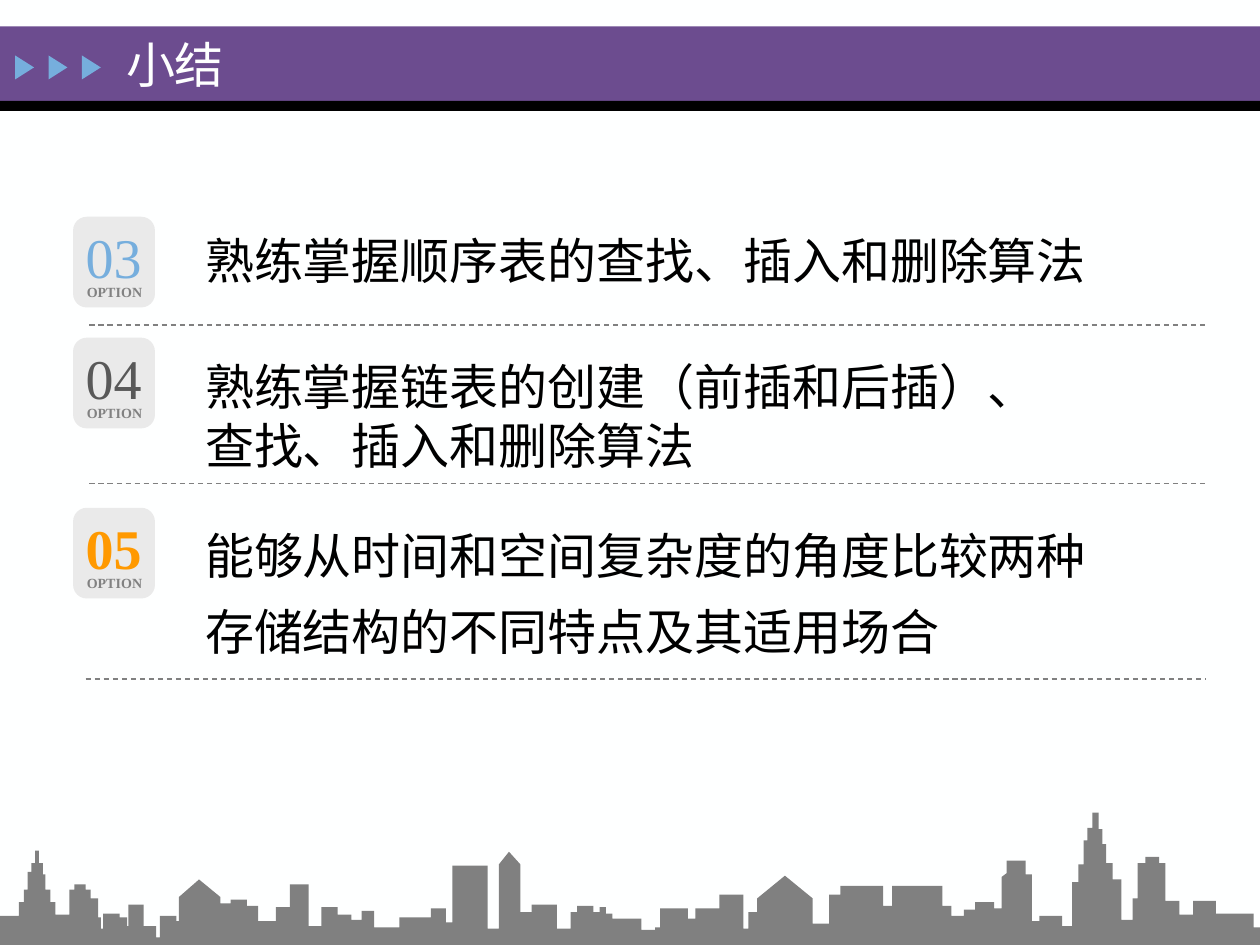
from dataclasses import dataclass

from lxml.etree import SubElement
from pptx import Presentation
from pptx.dml.color import RGBColor
from pptx.enum.dml import MSO_LINE
from pptx.enum.shapes import MSO_CONNECTOR, MSO_SHAPE
from pptx.enum.text import MSO_ANCHOR, MSO_AUTO_SIZE, PP_ALIGN
from pptx.oxml.ns import qn
from pptx.util import Inches, Pt


@dataclass(frozen=True)
class Theme:
    """Colours, font and type sizes of the deck."""
    paper: str = "FEFFFF"
    ink: str = "000000"
    purple: str = "6C4C8F"
    blue: str = "76AEDD"
    orange: str = "FF9900"
    dark: str = "595959"
    badge: str = "EAEAEA"
    label: str = "818181"
    gray: str = "808080"
    font: str = "Times New Roman"
    text_size: int = 28
    number_size: int = 32
    label_size: int = 8


@dataclass(frozen=True)
class Item:
    """One numbered point, with its own box and text placement."""
    number: str
    text: str
    color: str
    box: tuple
    text_dy: float
    text_w: float
    text_h: float
    rule_x: float = 0.71
    bold: bool = False
    spacing: float = 1.0


THEME = Theme()

ITEMS = [
    Item("03", "熟练掌握顺序表的查找、插入和删除算法", THEME.blue,
         (0.58, 1.72, 8.99, 0.86), 0.06, 7.8, 0.69),
    Item("04", "熟练掌握链表的创建（前插和后插）、查找、插入和删除算法", THEME.dark,
         (0.58, 2.68, 8.99, 1.16), 0.1, 7.17, 0.62),
    Item("05", "能够从时间和空间复杂度的角度比较两种存储结构的不同特点及其适用场合",
         THEME.orange, (0.58, 4.03, 8.99, 1.36), -0.05, 7.4, 1.27,
         rule_x=0.68, bold=True, spacing=1.3),
]

STEP, SLOPE = False, True
SKYLINE = [
    (STEP, [(0.15, 0.34), (0.19, 0.44), (0.22, 0.58), (0.25, 0.65), (0.28, 0.75),
            (0.31, 0.65), (0.34, 0.56), (0.36, 0.44), (0.4, 0.34), (0.44, 0.24),
            (0.55, 0.44), (0.59, 0.48), (0.68, 0.44), (0.72, 0.37), (0.78, 0.22),
            (0.8, 0.13), (0.82, 0.25), (0.95, 0.22), (1.01, 0.15), (1.02, 0.32),
            (1.14, 0.15), (1.24, 0.06), (1.27, 0.23), (1.4, 0.19), (1.42, 0.38)]),
    (SLOPE, [(1.58, 0.52), (1.75, 0.38)]),
    (STEP, [(1.75, 0.33), (1.83, 0.36), (1.96, 0.31), (2.05, 0.19), (2.19, 0.3),
            (2.3, 0.48), (2.45, 0.15), (2.55, 0.3), (2.68, 0.24), (2.79, 0.2),
            (2.87, 0.27), (2.97, 0.14), (3.17, 0.22), (3.42, 0.29), (3.54, 0.18),
            (3.59, 0.63), (3.87, 0.13), (3.96, 0.64)]),
    (SLOPE, [(4.04, 0.74), (4.13, 0.64)]),
    (STEP, [(4.13, 0.26), (4.22, 0.32), (4.42, 0.13), (4.53, 0.26), (4.58, 0.31),
            (4.71, 0.26), (4.76, 0.3), (4.81, 0.25), (4.86, 0.21), (5.09, 0.12),
            (5.2, 0.14), (5.24, 0.29), (5.46, 0.21), (5.52, 0.29), (5.71, 0.4),
            (5.9, 0.13), (5.94, 0.26), (6.01, 0.37)]),
    (SLOPE, [(6.23, 0.55), (6.45, 0.37)]),
    (STEP, [(6.45, 0.17), (6.58, 0.4), (6.67, 0.47), (7.01, 0.31), (7.08, 0.47),
            (7.48, 0.31), (7.55, 0.23), (7.65, 0.28), (7.74, 0.34), (7.89, 0.29),
            (7.95, 0.54)]),
    (SLOPE, [(7.99, 0.57)]),
    (STEP, [(7.99, 0.67), (8.14, 0.56), (8.19, 0.19), (8.25, 0.23), (8.43, 0.15),
            (8.51, 0.5), (8.56, 0.64), (8.6, 0.83), (8.63, 0.93), (8.67, 1.05),
            (8.72, 0.92), (8.75, 0.8), (8.78, 0.65), (8.83, 0.52), (8.9, 0.2),
            (8.99, 0.37), (9.03, 0.65), (9.09, 0.7), (9.2, 0.65), (9.25, 0.35),
            (9.36, 0.24), (9.47, 0.35), (9.65, 0.25), (9.95, 0.14)]),
]


def paint(sp, color):
    """Give a shape a flat fill with no line or shadow."""
    sp.fill.solid()
    sp.fill.fore_color.rgb = RGBColor.from_string(color)
    sp.line.fill.background()
    sp.shadow.inherit = False


def add_block(s, kind, box, color):
    """Add a flat preset shape."""
    sp = s.shapes.add_shape(kind, *map(Inches, box))
    paint(sp, color)
    return sp


def write(tf, text, size, color, bold=False):
    """Set the text of a frame and format its run."""
    tf.text = text
    p = tf.paragraphs[0]
    font = p.runs[0].font
    font.name, font.size, font.bold = THEME.font, Pt(size), bold
    font.color.rgb = RGBColor.from_string(color)
    return p


def add_text(s, box, text, size, color, bold=False, wrap=True):
    """Add a text box holding one formatted paragraph."""
    tf = s.shapes.add_textbox(*map(Inches, box)).text_frame
    tf.word_wrap = wrap
    write(tf, text, size, color, bold)
    return tf


def add_rule(s, x1, x2, y):
    """Add a dashed horizontal rule."""
    ln = s.shapes.add_connector(MSO_CONNECTOR.STRAIGHT, *map(Inches, (x1, y, x2, y)))
    ln.line.color.rgb = RGBColor.from_string(THEME.gray)
    ln.line.width = Pt(0.75)
    ln.line.dash_style = MSO_LINE.DASH
    SubElement(ln._element.spPr, qn("a:effectLst"))


def add_header(s, box, text):
    """Draw the title band with its arrows and place the title on it."""
    x, y, w, h = box
    band_h = h - 0.08
    add_block(s, MSO_SHAPE.RECTANGLE, (x, y, w, band_h), THEME.purple)
    add_block(s, MSO_SHAPE.RECTANGLE, (x, y + band_h, w, 0.08), THEME.ink)
    for i in range(3):
        arrow = (x + 0.1 + i * 0.265, y + 0.25, 0.19, 0.15)
        add_block(s, MSO_SHAPE.ISOSCELES_TRIANGLE, arrow, THEME.blue).rotation = 90
    title = s.shapes.title
    title.left, title.top, title.width, title.height = map(
        Inches, (x + 0.9, y + 0.01, 1.83, 0.57))
    tf = title.text_frame
    tf.auto_size, tf.vertical_anchor = MSO_AUTO_SIZE.NONE, MSO_ANCHOR.MIDDLE
    write(tf, text, THEME.text_size, THEME.paper).alignment = PP_ALIGN.LEFT
    s.shapes._spTree.append(title._element)


def add_item(s, item):
    """Draw one numbered point: badge, text and closing rule."""
    x, y, w, h = item.box
    add_block(s, MSO_SHAPE.ROUNDED_RECTANGLE, (x, y, 0.65, 0.72), THEME.badge)
    tf = add_text(s, (x + 0.1, y + 0.04, 0.55, 0.54), item.number,
                  THEME.number_size, item.color, item.bold)
    tf.margin_left = tf.margin_top = tf.margin_right = tf.margin_bottom = 0
    tf.vertical_anchor = MSO_ANCHOR.MIDDLE
    add_text(s, (x + 0.01, y + 0.48, 0.65, 0.24), "OPTION",
             THEME.label_size, THEME.label, bold=True, wrap=False)
    tf = add_text(s, (x + 0.95, y + item.text_dy, item.text_w, item.text_h),
                  item.text, THEME.text_size, THEME.ink)
    tf.paragraphs[0].line_spacing = item.spacing
    add_rule(s, item.rule_x, x + w, y + h)


def add_skyline(s, box):
    """Draw the city outline standing on the bottom of its box."""
    x, y, w, h = box
    points, height = [(0, 0.23)], 0.23
    for sloped, roofs in SKYLINE:
        for left, top in roofs:
            if not sloped:
                points.append((left, height))
            points.append((left, top))
            height = top
    points += [(w, height), (w, 0)]
    fb = s.shapes.build_freeform(Inches(x), Inches(y + h))
    fb.add_line_segments([(Inches(x + px), Inches(y + h - py)) for px, py in points])
    paint(fb.convert_to_shape(), THEME.gray)


def main():
    """Build the summary slide."""
    prs = Presentation()
    prs.slide_width, prs.slide_height = Inches(10), Inches(7.5)
    s = prs.slides.add_slide(prs.slide_layouts[5])
    s.background.fill.solid()
    s.background.fill.fore_color.rgb = RGBColor.from_string(THEME.paper)
    add_header(s, (0, 0.21, 10, 0.67), "小结")
    for item in ITEMS:
        add_item(s, item)
    add_skyline(s, (0, 6.45, 10, 1.05))
    prs.save("out.pptx")


if __name__ == "__main__":
    main()
